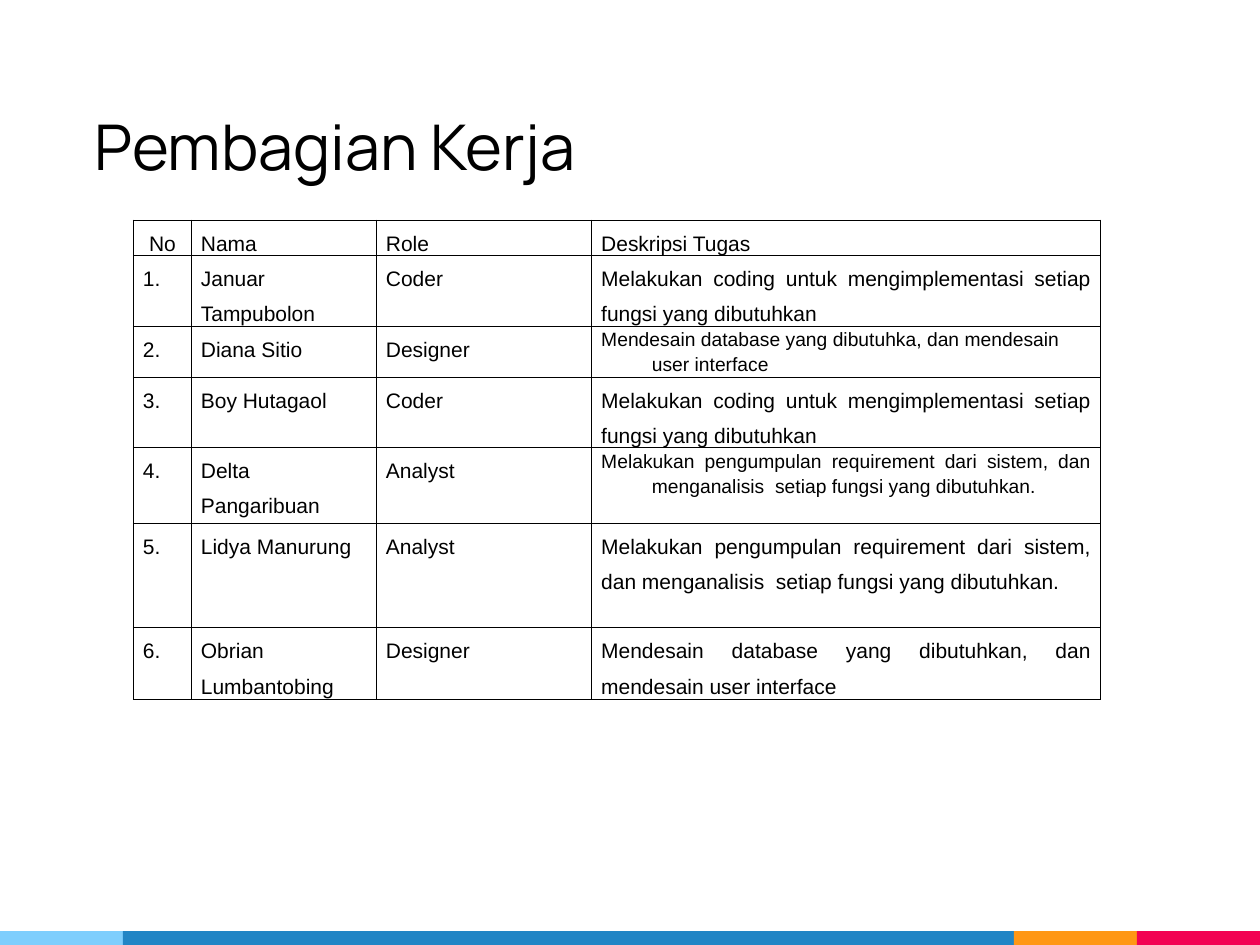
from lxml.etree import SubElement
from pptx import Presentation
from pptx.dml.color import RGBColor
from pptx.enum.shapes import MSO_SHAPE
from pptx.enum.text import MSO_ANCHOR, PP_ALIGN
from pptx.oxml.ns import qn
from pptx.util import Cm, Pt

WIDTH, HEIGHT = 25.4, 19.05
BAR_HEIGHT, BAR_END = 0.28, 2.48
COLUMNS = [1.17, 3.73, 4.34, 10.26]
ROWS = [0.7, 1.42, 1.03, 1.42, 1.52, 2.11, 1.45]
CODING = "Melakukan coding untuk mengimplementasi setiap fungsi yang dibutuhkan"
ANALYSIS = ("Melakukan pengumpulan requirement dari sistem, dan menganalisis  "
            "setiap fungsi yang dibutuhkan.")
TASKS = [
    ("No", "Nama", "Role", "Deskripsi Tugas"),
    ("1.", "Januar Tampubolon", "Coder", CODING),
    ("2.", "Diana Sitio", "Designer",
     "Mendesain database yang dibutuhka, dan mendesain user interface"),
    ("3.", "Boy Hutagaol", "Coder", CODING),
    ("4.", "Delta Pangaribuan", "Analyst", ANALYSIS),
    ("5.", "Lidya Manurung", "Analyst", ANALYSIS),
    ("6.", "Obrian Lumbantobing", "Designer",
     "Mendesain database yang dibutuhkan, dan mendesain user interface"),
]
BODY = {"alignment": PP_ALIGN.JUSTIFY, "line_spacing": 1.5}
HANGING = {"alignment": PP_ALIGN.JUSTIFY, "line_spacing": 1.15,
           "space_before": Pt(12), "space_after": Pt(3)}
SPECIAL = {
    (0, 0): BODY | {"alignment": PP_ALIGN.CENTER},
    (2, 3): HANGING | {"alignment": PP_ALIGN.LEFT},
    (4, 3): HANGING,
}


def color(value):
    """Turn a hex string into a colour."""
    return RGBColor.from_string(value)


def assign(target, values):
    """Set each attribute named in a dict."""
    for name, value in values.items():
        setattr(target, name, value)


class SlideBuilder:
    """Hold the style and the current slide."""

    ink = "000000"
    body_font = "Arial"
    title_font = "Manrope"

    def __init__(self, prs):
        """Add a title-only slide."""
        self.s = prs.slides.add_slide(prs.slide_layouts[5])

    def paragraph(self, tf, text, font, size, layout):
        """Fill a text frame with one formatted paragraph."""
        p = tf.paragraphs[0]
        assign(p, layout)
        r = p.add_run()
        r.text = text
        assign(r.font, {"name": font, "size": Pt(size)})
        r.font.color.rgb = color(self.ink)
        return p

    def title(self, text, left, top, width, height):
        """Place and format the title."""
        sp = self.s.shapes.title
        assign(sp, {"left": Cm(left), "top": Cm(top),
                    "width": Cm(width), "height": Cm(height)})
        tf = sp.text_frame
        assign(tf, {"vertical_anchor": MSO_ANCHOR.BOTTOM, "word_wrap": True})
        assign(tf, dict.fromkeys(
            ("margin_left", "margin_top", "margin_right", "margin_bottom"), Cm(0.25)))
        self.paragraph(tf, text, self.title_font, 36, {"alignment": PP_ALIGN.LEFT})

    def bar(self, left, width, fill):
        """Draw one part of the footer strip."""
        sp = self.s.shapes.add_shape(
            MSO_SHAPE.RECTANGLE, Cm(left), Cm(HEIGHT - BAR_HEIGHT), Cm(width), Cm(BAR_HEIGHT))
        sp.shadow.inherit = False
        sp.fill.solid()
        sp.fill.fore_color.rgb = color(fill)
        sp.line.fill.background()

    def borders(self, cell):
        """Outline a cell on all sides."""
        tc_pr = cell._tc.get_or_add_tcPr()
        for side in ("lnL", "lnR", "lnT", "lnB"):
            ln = SubElement(tc_pr, qn(f"a:{side}"), w=str(Pt(0.75)))
            SubElement(SubElement(ln, qn("a:solidFill")), qn("a:srgbClr"), val=self.ink)

    def cell(self, cell, text, layout):
        """Format and fill one table cell."""
        self.borders(cell)
        cell.fill.background()
        assign(cell, {"margin_left": Cm(0.19), "margin_right": Cm(0.19),
                      "margin_top": 0, "margin_bottom": 0})
        hanging = "space_before" in layout
        size = 11 if hanging else 12
        p = self.paragraph(cell.text_frame, text, self.body_font, size, layout)
        if hanging:
            p_pr = p._p.get_or_add_pPr()
            p_pr.set("marL", str(Cm(1.02)))
            p_pr.set("indent", str(-Cm(1.02)))

    def table(self, left, top, columns, rows, data):
        """Add the task table."""
        table = self.s.shapes.add_table(
            len(rows), len(columns), Cm(left), Cm(top), Cm(sum(columns)), Cm(sum(rows))).table
        assign(table, {"first_row": False, "horz_banding": False})
        for column, width in zip(table.columns, columns):
            column.width = Cm(width)
        for i, (row, height) in enumerate(zip(table.rows, rows)):
            row.height = Cm(height)
            for j, text in enumerate(data[i]):
                self.cell(table.cell(i, j), text, SPECIAL.get((i, j), BODY))


def main():
    """Build and save the slide."""
    prs = Presentation()
    assign(prs, {"slide_width": Cm(WIDTH), "slide_height": Cm(HEIGHT)})
    slide = SlideBuilder(prs)
    left = 0
    for width, fill in ((BAR_END, "7ECEFD"), (WIDTH - 3 * BAR_END, "2185C5"),
                        (BAR_END, "FF9715"), (BAR_END, "F20253")):
        slide.bar(left, width, fill)
        left += width
    slide.title("Pembagian Kerja", 1.65, 0.76, 21.9, 3.18)
    slide.table(2.69, 4.44, COLUMNS, ROWS, TASKS)
    prs.save("out.pptx")


if __name__ == "__main__":
    main()
